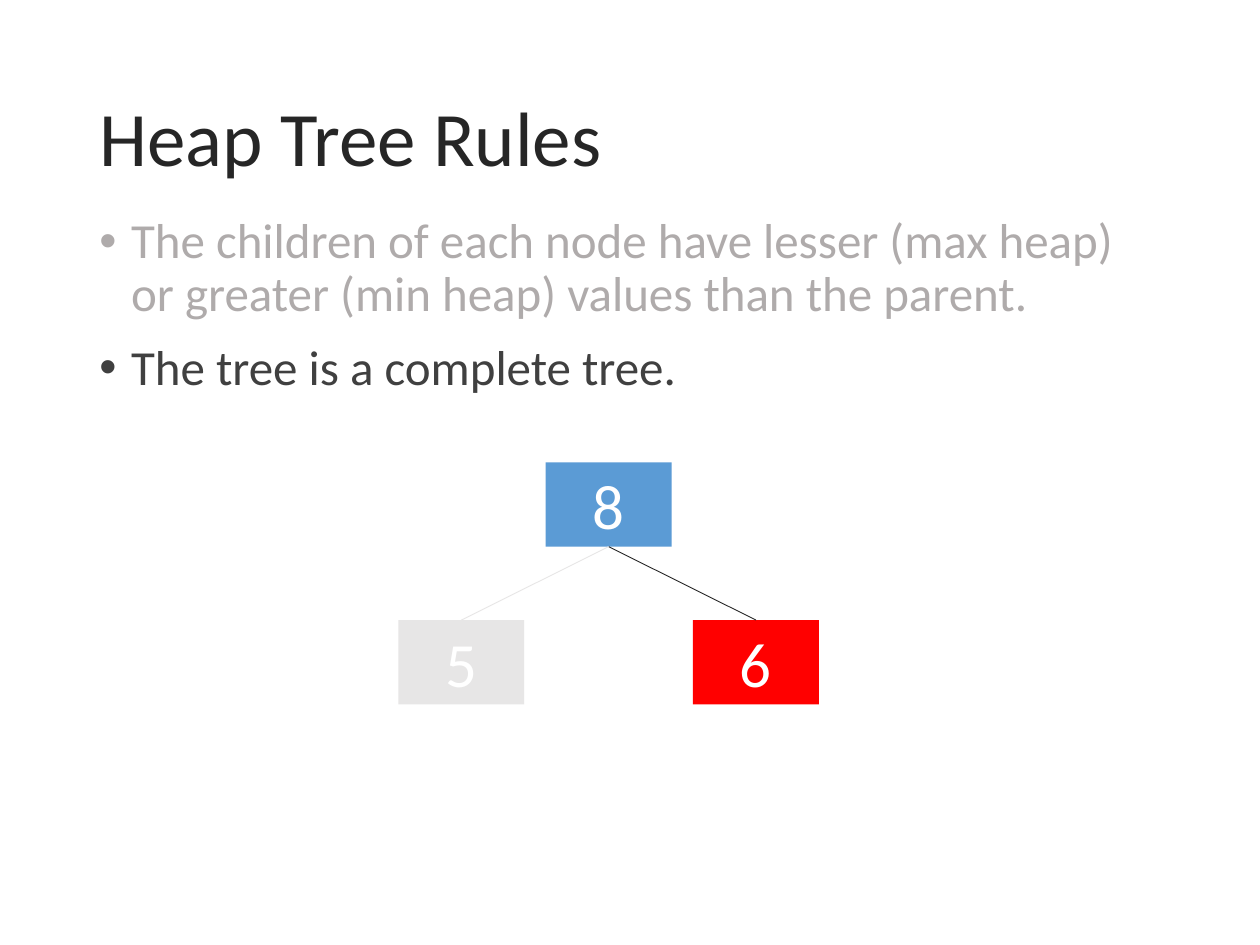
"""Build the slide on heap tree rules."""
from lxml import etree
from pptx import Presentation, util as u
from pptx.dml.color import RGBColor
from pptx.enum import shapes, text
from pptx.oxml import ns

HUES = {
    "title": "262626", "body": "404040", "past": "AFABAB", "root": "5B9BD5",
    "new": "FF0000", "dim": "E7E6E6", "white": "FFFFFF",
}
RULES = [
    ("The children of each node have lesser (max heap) or greater (min heap) "
     "values than the parent.", "past"),
    ("The tree is a complete tree.", "body"),
]
WIDE, HIGH = 2.54, 1.7
ROOT_X, ROOT_Y = 11, 9.32
STEP_X, STEP_Y = 2.97, 3.18


def hue(name):
    """Return the named colour."""
    return RGBColor.from_string(HUES[name])


def style(para, size, name):
    """Format the runs of a paragraph."""
    for run in para.runs:
        run.font.name = "Calibri"
        run.font.size = u.Pt(size)
        run.font.color.rgb = hue(name)


def place(holder, top, high):
    """Move a placeholder and keep its text size fixed."""
    holder.left, holder.top = u.Cm(1.75), u.Cm(top)
    holder.width, holder.height = u.Cm(21.9), u.Cm(high)
    holder.text_frame.auto_size = text.MSO_AUTO_SIZE.NONE


def add_title(slide, words):
    """Fill the title placeholder."""
    title = slide.shapes.title
    place(title, 1.02, 3.68)
    title.text_frame.text = words
    title.text_frame.vertical_anchor = text.MSO_ANCHOR.MIDDLE
    para = title.text_frame.paragraphs[0]
    para.alignment = text.PP_ALIGN.LEFT
    para.line_spacing = 0.9
    style(para, 44, "title")


def add_list(slide, rules):
    """Fill the body placeholder with bulleted rules."""
    body = slide.placeholders[1]
    place(body, 4.24, 4.01)
    frame = body.text_frame
    frame.text = "\n".join(words for words, name in rules)
    for i, (para, (words, name)) in enumerate(zip(frame.paragraphs, rules)):
        props = para._p.get_or_add_pPr()
        props.set("marL", str(u.Cm(0.64)))
        props.set("indent", str(u.Cm(-0.64)))
        etree.SubElement(props, ns.qn("a:buChar")).set("char", "•")
        para.line_spacing = 0.9
        para.space_before = u.Pt(12 if i else 0)
        style(para, 28, name)


def add_node(slide, value, left, top, name):
    """Draw one tree node."""
    node = slide.shapes.add_shape(
        shapes.MSO_SHAPE.RECTANGLE, u.Cm(left), u.Cm(top), u.Cm(WIDE), u.Cm(HIGH))
    node.shadow.inherit = False
    node.fill.solid()
    node.fill.fore_color.rgb = hue(name)
    node.line.fill.background()
    frame = node.text_frame
    frame.text = value
    frame.vertical_anchor = text.MSO_ANCHOR.MIDDLE
    frame.paragraphs[0].alignment = text.PP_ALIGN.CENTER
    style(frame.paragraphs[0], 36, "white")
    return node


def add_edge(slide, child, root, name):
    """Join the top of a child to the bottom of its root."""
    edge = slide.shapes.add_connector(shapes.MSO_CONNECTOR.STRAIGHT, 0, 0, 0, 0)
    edge.begin_connect(child, 0)
    edge.end_connect(root, 2)
    edge.line.color.rgb = hue(name)
    edge.line.width = u.Pt(0.5)
    etree.SubElement(edge._element.spPr, ns.qn("a:effectLst"))


def add_tree(slide):
    """Draw the root with its two children."""
    root = add_node(slide, "8", ROOT_X, ROOT_Y, "root")
    for value, side, fill, line in [("6", 1, "new", "title"), ("5", -1, "dim", "dim")]:
        child = add_node(slide, value, ROOT_X + side * STEP_X, ROOT_Y + STEP_Y, fill)
        add_edge(slide, child, root, line)


def main():
    """Build and save the deck."""
    deck = Presentation()
    deck.slide_width, deck.slide_height = u.Cm(25.4), u.Cm(19.05)
    slide = deck.slides.add_slide(deck.slide_layouts[1])
    add_title(slide, "Heap Tree Rules")
    add_list(slide, RULES)
    add_tree(slide)
    deck.save("out.pptx")


if __name__ == "__main__":
    main()
